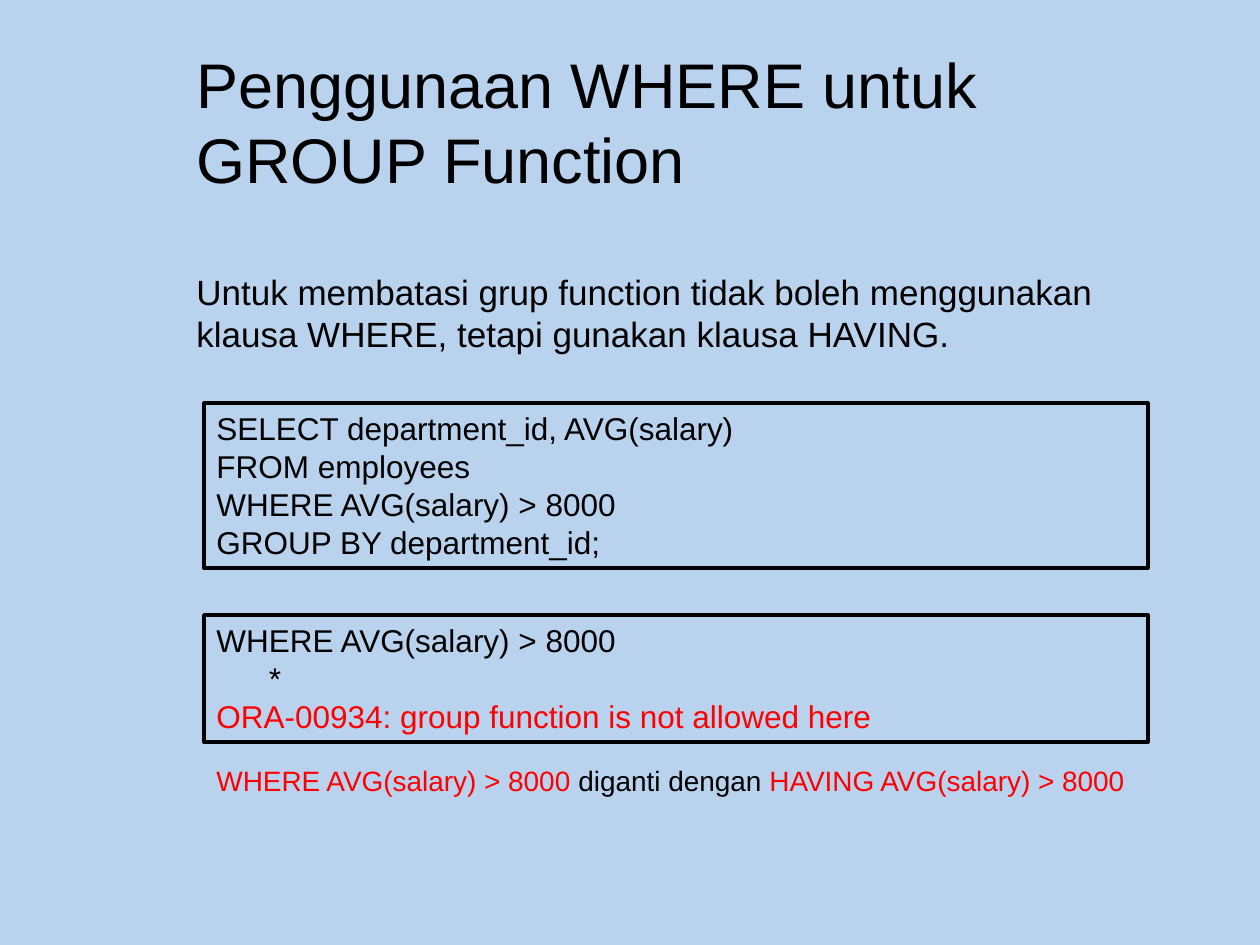
from pptx import Presentation
from pptx import util as u
from pptx.dml.color import RGBColor
from pptx.enum import shapes, text

COLORS = {"sky": "B9D3EE", "ink": "000000", "error": "FF0000"}
FONT = "Arial"
ASTERISK_INDENT = 30

# Each paragraph is (indent, [(words, color), ...])
TITLE = [(0, [("Penggunaan WHERE untuk GROUP Function", "ink")])]
RULE = [(0, [("Untuk membatasi grup function tidak boleh menggunakan "
              "klausa WHERE, tetapi gunakan klausa HAVING.", "ink")])]
QUERY = [(0, [(line, "ink")]) for line in (
    "SELECT department_id, AVG(salary)",
    "FROM employees",
    "WHERE AVG(salary) > 8000",
    "GROUP BY department_id;",
)]
ERROR = [
    (0, [("WHERE AVG(salary) > 8000", "ink")]),
    (ASTERISK_INDENT, [("*", "ink")]),
    (0, [("ORA-00934: group function is not allowed here", "error")]),
]
FIX = [(0, [("WHERE AVG(salary) > 8000 ", "error"),
            ("diganti dengan ", "ink"),
            ("HAVING AVG(salary) > 8000", "error")])]

TEXT_LEFT, CODE_LEFT, CODE_WIDTH = 105.1, 116.6, 539.3

# (paragraphs, (left, top, width, height), font size, anchor, framed)
BLOCKS = [
    (TITLE, (TEXT_LEFT, 21.6, 578.9, 95), 36, "MIDDLE", False),
    (RULE, (TEXT_LEFT, 151.2, 561.6, 67.7), 20, "TOP", False),
    (QUERY, (CODE_LEFT, 230.4, CODE_WIDTH, 94.3), 18, "TOP", True),
    (ERROR, (CODE_LEFT, 351.4, CODE_WIDTH, 72.7), 18, "TOP", True),
    (FIX, (CODE_LEFT, 432.7, 570.2, 26.6), 16, "TOP", False),
]


def color(name):
    return RGBColor.from_string(COLORS[name])


def paint(fill, name):
    fill.solid()
    fill.fore_color.rgb = color(name)


def add_box(page, place, framed):
    place = [u.Pt(length) for length in place]
    if not framed:
        return page.shapes.add_textbox(*place)
    box = page.shapes.add_shape(shapes.MSO_SHAPE.RECTANGLE, *place)
    box.shadow.inherit = False
    paint(box.fill, "sky")
    paint(box.line.fill, "ink")
    box.line.width = u.Pt(2)
    return box


def write(frame, paragraphs, size):
    for index, (indent, spans) in enumerate(paragraphs):
        para = frame.paragraphs[0] if index == 0 else frame.add_paragraph()
        para.alignment = text.PP_ALIGN.LEFT
        if indent:
            para._p.get_or_add_pPr().set("marL", str(u.Pt(indent)))
        for words, name in spans:
            span = para.add_run()
            span.text = words
            for key, value in {"name": FONT, "size": u.Pt(size)}.items():
                setattr(span.font, key, value)
            span.font.color.rgb = color(name)


def main():
    deck = Presentation()
    deck.slide_width, deck.slide_height = u.Pt(720), u.Pt(540)
    page = deck.slides.add_slide(deck.slide_layouts[6])
    paint(page.background.fill, "sky")
    for paragraphs, place, size, anchor, framed in BLOCKS:
        frame = add_box(page, place, framed).text_frame
        frame.word_wrap = True
        frame.vertical_anchor = text.MSO_ANCHOR[anchor]
        write(frame, paragraphs, size)
    deck.save("out.pptx")


if __name__ == "__main__":
    main()
